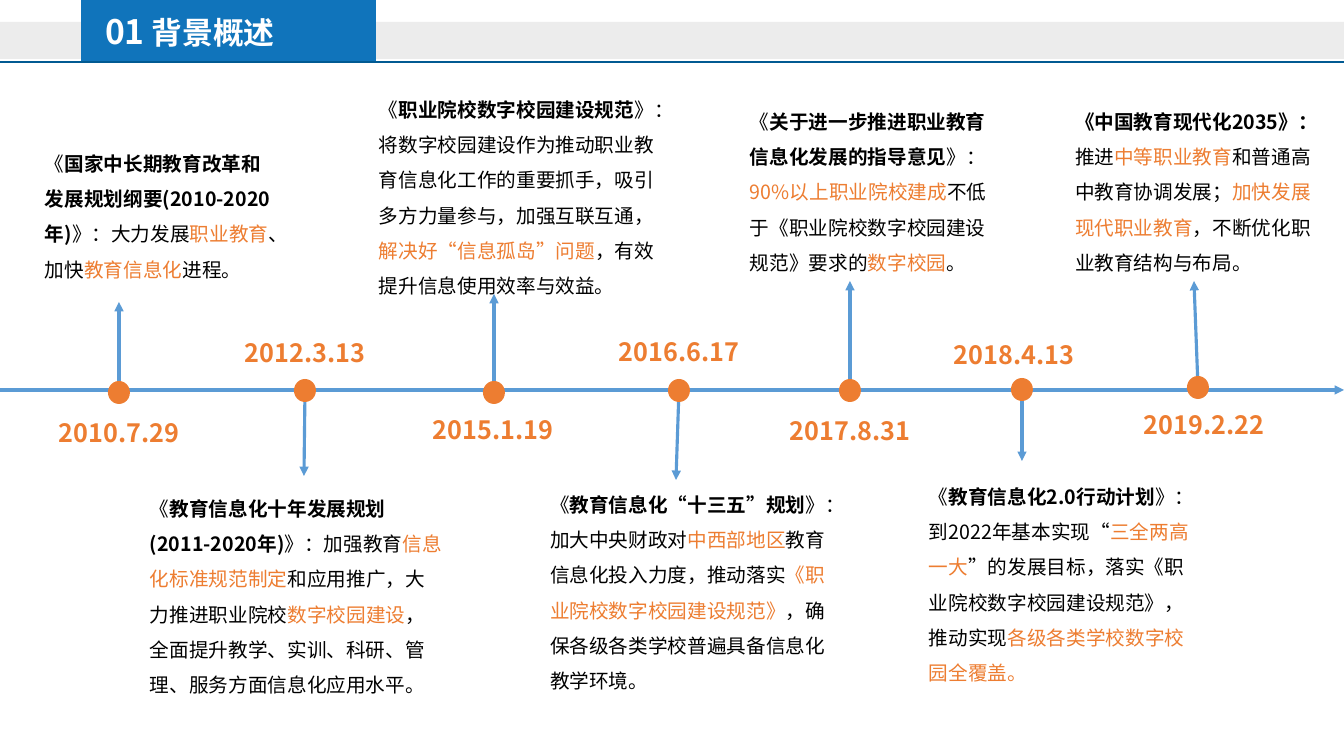
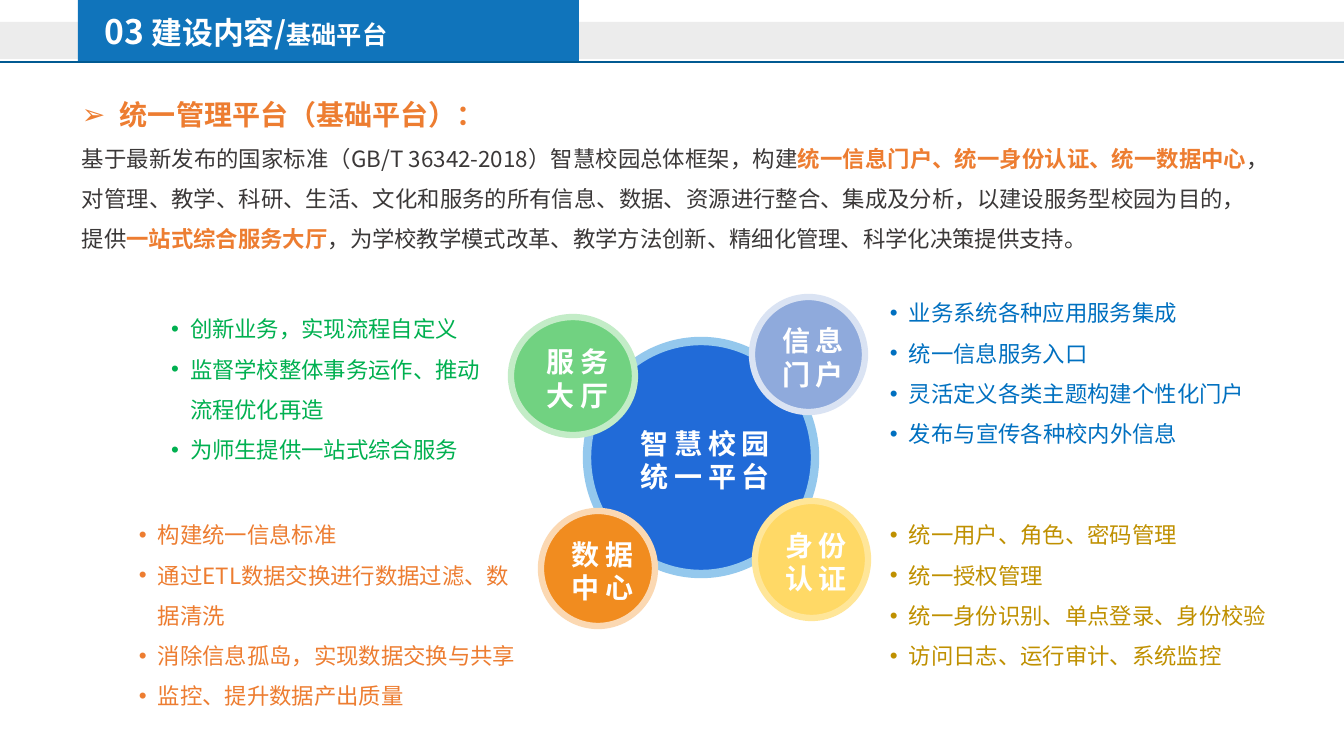
from pptx import Presentation
from pptx.dml.color import RGBColor
from pptx.enum.shapes import MSO_CONNECTOR as CONNECTOR, MSO_SHAPE as SHAPE
from pptx.enum.text import MSO_ANCHOR as ANCHOR, PP_ALIGN as ALIGN
from pptx.oxml.ns import qn
from pptx.util import Emu, Pt
from lxml.etree import SubElement

PX = 12192000 // 1344
WIDTH, HEIGHT = 1344, 756
FONT = "Noto Sans CJK SC"

# Colours
WHITE = RGBColor(0xFF, 0xFF, 0xFF)
BLACK = RGBColor(0x00, 0x00, 0x00)
CHARCOAL = RGBColor(0x3B, 0x38, 0x38)
BAND = RGBColor(0xEC, 0xEC, 0xEC)
RULE = RGBColor(0x01, 0x5A, 0x92)
TITLE_BLUE = RGBColor(0x10, 0x74, 0xBB)
ARROW_BLUE = RGBColor(0x5B, 0x9B, 0xD5)
ORANGE = RGBColor(0xED, 0x7D, 0x31)
GREEN = RGBColor(0x00, 0xB0, 0x50)
BLUE = RGBColor(0x00, 0x70, 0xC0)
GOLD = RGBColor(0xBF, 0x90, 0x00)
HUB, HUB_RING = RGBColor(0x21, 0x6B, 0xD8), RGBColor(0x94, 0xC8, 0xED)
HALL, HALL_RING = RGBColor(0x71, 0xD2, 0x81), RGBColor(0xC3, 0xEC, 0xC7)
PORTAL, PORTAL_RING = RGBColor(0x8F, 0xAA, 0xDC), RGBColor(0xDA, 0xE3, 0xF3)
IDENTITY, IDENTITY_RING = RGBColor(0xFF, 0xD9, 0x66), RGBColor(0xFF, 0xE6, 0x99)
DATA, DATA_RING = RGBColor(0xF1, 0x8C, 0x1F), RGBColor(0xFB, 0xD8, 0xB2)


def style(size, color, bold=False):
    return {"size": Pt(size), "bold": bold, "color": color}


# Text styles
NUMBER, TITLE, SUBTITLE = (style(size, WHITE, True) for size in (24, 22, 18))
DATE = style(18, ORANGE, True)
PLAIN, NAME, MARK = style(14, BLACK), style(14, BLACK, True), style(14, ORANGE)
HEADING = style(20, ORANGE, True)
INTRO, KEY = style(16, CHARCOAL), style(16, ORANGE, True)
CIRCLE = style(20, WHITE, True)


class Deck:
    def __init__(self):
        self.file = Presentation()
        self.file.slide_width = Emu(WIDTH * PX)
        self.file.slide_height = Emu(HEIGHT * PX)
        self.shapes = None

    def new_slide(self, left, width, title):
        """Start a slide with the grey band, the rule and the title block."""
        self.shapes = self.file.slides.add_slide(self.file.slide_layouts[6]).shapes
        self.shape(SHAPE.RECTANGLE, (0, 22, WIDTH, 37), BAND)
        self.line((0, 62), (WIDTH, 62), RULE, 0.75)
        self.shape(SHAPE.RECTANGLE, (left, 0, width, 61), TITLE_BLUE)
        frame = self.text((95, 10, width, 48), anchor=ANCHOR.MIDDLE)
        self.paragraph(frame, title, line_spacing=0.9)

    def shape(self, kind, box, fill, ring=None, ring_width=0):
        shape = self.shapes.add_shape(kind, *(Emu(v * PX) for v in box))
        shape.shadow.inherit = False
        shape.fill.solid()
        shape.fill.fore_color.rgb = fill
        if ring is None:
            shape.line.fill.background()
        else:
            shape.line.color.rgb = ring
            shape.line.width = Pt(ring_width)
        return shape

    def line(self, start, end, color, width, arrow=False):
        line = self.shapes.add_connector(
            CONNECTOR.STRAIGHT, *(Emu(v * PX) for v in (*start, *end)))
        line.line.color.rgb = color
        line.line.width = Pt(width)
        if arrow:
            SubElement(line.line._get_or_add_ln(), qn("a:tailEnd"), type="triangle")
        SubElement(line._element.spPr, qn("a:effectLst"))

    def text(self, box, insets=(10, 5, 10, 5), anchor=ANCHOR.TOP):
        frame = self.shapes.add_textbox(*(Emu(v * PX) for v in box)).text_frame
        return self.set_frame(frame, insets, anchor, True)

    def set_frame(self, frame, insets, anchor, wrap):
        sides = ("margin_left", "margin_top", "margin_right", "margin_bottom")
        for side, inset in zip(sides, insets):
            setattr(frame, side, Emu(inset * PX))
        frame.vertical_anchor = anchor
        frame.word_wrap = wrap
        return frame

    def paragraph(self, frame, runs, bullet=None, indent=0, spacing=0, **layout):
        first = frame.paragraphs[0]
        paragraph = frame.add_paragraph() if first.runs else first
        for name, value in layout.items():
            setattr(paragraph, name, value)
        if bullet:
            props = paragraph._p.get_or_add_pPr()
            props.set("marL", str(indent * PX))
            props.set("indent", str(-indent * PX))
            SubElement(props, qn("a:buFont"), typeface="Arial")
            SubElement(props, qn("a:buChar"), char=bullet)
        for words, look in runs:
            run = paragraph.add_run()
            run.text = words
            for name, value in look.items():
                if name == "color":
                    run.font.color.rgb = value
                else:
                    setattr(run.font, name, value)
            run.font.name = FONT
            props = run.font._element
            SubElement(props, qn("a:ea"), typeface=FONT)
            if spacing:
                props.set("spc", str(spacing * 100))

    def event(self, date, dot, date_at, arrow_end, box, runs):
        """Draw one timeline stop: arrow, dot, date and description."""
        x, y = dot
        self.line(dot, arrow_end, ARROW_BLUE, 2.25, arrow=True)
        self.shape(SHAPE.OVAL, (x - 11, y - 11, 22, 23), ORANGE)
        date_x, date_y = date_at
        frame = self.text((date_x - 83, date_y, 166, 40))
        self.paragraph(frame, [(date, DATE)], alignment=ALIGN.CENTER)
        self.paragraph(self.text(box), runs, line_spacing=1.5)

    def bullets(self, box, color, items):
        frame = self.text(box)
        for item in items:
            self.paragraph(frame, [(item, style(16, color))], bullet="•",
                           indent=19, line_spacing=1.5)

    def circle(self, box, fill, ring, ring_width, lines):
        frame = self.shape(SHAPE.OVAL, box, fill, ring, ring_width).text_frame
        self.set_frame(frame, (9, 5, 0, 0), ANCHOR.MIDDLE, False)
        for words in lines:
            self.paragraph(frame, [(words, CIRCLE)], spacing=4, alignment=ALIGN.CENTER)


# Timeline: date, dot centre, date centre and top, arrow end, text box, runs
EVENTS = [
    ("2010.7.29", (119, 392), (119, 412), (119, 302), (35, 135, 247, 187), [
        ("《", PLAIN), ("国家中长期教育改革和发展规划纲要(2010-2020年)", NAME),
        ("》：大力发展", PLAIN), ("职业教育", MARK), ("、加快", PLAIN),
        ("教育信息化", MARK), ("进程。", PLAIN)]),
    ("2012.3.13", (305, 390), (305, 332), (304, 476), (140, 480, 312, 224), [
        ("《", PLAIN), ("教育信息化十年发展规划(2011-2020年)", NAME),
        ("》：加强教育", PLAIN), ("信息化标准规范制定", MARK),
        ("和应用推广，大力推进职业院校", PLAIN), ("数字校园建设", MARK),
        ("，全面提升教学、实训、科研、管理、服务方面信息化应用水平。", PLAIN)]),
    ("2015.1.19", (494, 392), (493, 409), (494, 294), (369, 81, 299, 224), [
        ("《", PLAIN), ("职业院校数字校园建设规范", NAME),
        ("》：将数字校园建设作为推动职业教育信息化工作的重要抓手，"
         "吸引多方力量参与，加强互联互通，", PLAIN),
        ("解决好“信息孤岛”问题", MARK), ("，有效提升信息使用效率与效益。", PLAIN)]),
    ("2016.6.17", (679, 390), (679, 331), (676, 480), (540, 476, 298, 224), [
        ("《", PLAIN), ("教育信息化“十三五”规划", NAME),
        ("》：加大中央财政对", PLAIN), ("中西部地区", MARK),
        ("教育信息化投入力度，推动落实", PLAIN),
        ("《职业院校数字校园建设规范》", MARK),
        ("，确保各级各类学校普遍具备信息化教学环境。", PLAIN)]),
    ("2017.8.31", (850, 390), (850, 410), (850, 281), (740, 93, 262, 189), [
        ("《", PLAIN), ("关于进一步推进职业教育信息化发展的指导意见", NAME),
        ("》：", PLAIN), ("90%以上职业院校建成", MARK),
        ("不低于《职业院校数字校园建设规范》要求的", PLAIN),
        ("数字校园", MARK), ("。", PLAIN)]),
    ("2018.4.13", (1022, 389), (1014, 334), (1022, 461), (919, 468, 291, 224), [
        ("《", PLAIN), ("教育信息化2.0行动计划", NAME),
        ("》：到2022年基本实现“", PLAIN), ("三全两高一大", MARK),
        ("”的发展目标，落实《职业院校数字校园建设规范》，推动实现", PLAIN),
        ("各级各类学校数字校园全覆盖。", MARK)]),
    ("2019.2.22", (1198, 387), (1204, 404), (1194, 281), (1065, 93, 258, 189), [
        ("《中国教育现代化2035》：", NAME), ("推进", PLAIN),
        ("中等职业教育", MARK), ("和普通高中教育协调发展；", PLAIN),
        ("加快发展现代职业教育", MARK), ("，不断优化职业教育结构与布局。", PLAIN)]),
]

# Platform circles: box, fill, ring, ring width, lines
CIRCLES = [
    ((587, 341, 228, 233), HUB, HUB_RING, 6, ("智慧校园", "统一平台")),
    ((511, 317, 124, 118), HALL, HALL_RING, 4.5, ("服务", "大厅")),
    ((752, 297, 113, 115), PORTAL, PORTAL_RING, 4.5, ("信息", "门户")),
    ((755, 501, 113, 117), IDENTITY, IDENTITY_RING, 4.5, ("身份", "认证")),
    ((541, 511, 114, 115), DATA, DATA_RING, 4.5, ("数据", "中心")),
]

# Feature lists beside the circles: box, colour, items
FEATURES = [
    ((161, 297, 350, 173), GREEN, (
        "创新业务，实现流程自定义", "监督学校整体事务运作、推动流程优化再造",
        "为师生提供一站式综合服务")),
    ((129, 503, 398, 214), ORANGE, (
        "构建统一信息标准", "通过ETL数据交换进行数据过滤、数据清洗",
        "消除信息孤岛，实现数据交换与共享", "监控、提升数据产出质量")),
    ((880, 503, 406, 168), GOLD, (
        "统一用户、角色、密码管理", "统一授权管理",
        "统一身份识别、单点登录、身份校验", "访问日志、运行审计、系统监控")),
    ((880, 281, 381, 168), BLUE, (
        "业务系统各种应用服务集成", "统一信息服务入口",
        "灵活定义各类主题构建个性化门户", "发布与宣传各种校内外信息")),
]


def add_background(deck):
    deck.new_slide(81, 295, [("01", NUMBER), (" 背景概述", TITLE)])
    deck.line((0, 390), (WIDTH, 390), ARROW_BLUE, 2.25, arrow=True)
    for event in EVENTS:
        deck.event(*event)


def add_platform(deck):
    deck.new_slide(78, 501, [("03", NUMBER), (" 建设内容/", TITLE), ("基础平台", SUBTITLE)])
    intro = deck.text((58, 73, 1213, 187), (24, 12, 24, 12), ANCHOR.MIDDLE)
    deck.paragraph(intro, [("统一管理平台（基础平台）：", HEADING)],
                   bullet="➢", indent=38, line_spacing=1.5)
    deck.paragraph(intro, [
        ("基于最新发布的国家标准（GB/T 36342-2018）智慧校园总体框架，构建", INTRO),
        ("统一信息门户、统一身份认证、统一数据中心", KEY),
        ("，对管理、教学、科研、生活、文化和服务的所有信息、数据、资源进行整合、"
         "集成及分析，以建设服务型校园为目的，提供", INTRO),
        ("一站式综合服务大厅", KEY),
        ("，为学校教学模式改革、教学方法创新、精细化管理、科学化决策提供支持。", INTRO),
    ], alignment=ALIGN.JUSTIFY, line_spacing=1.5)
    for circle in CIRCLES:
        deck.circle(*circle)
    for feature in FEATURES:
        deck.bullets(*feature)


def main():
    deck = Deck()
    add_background(deck)
    add_platform(deck)
    deck.file.save("out.pptx")


if __name__ == "__main__":
    main()
